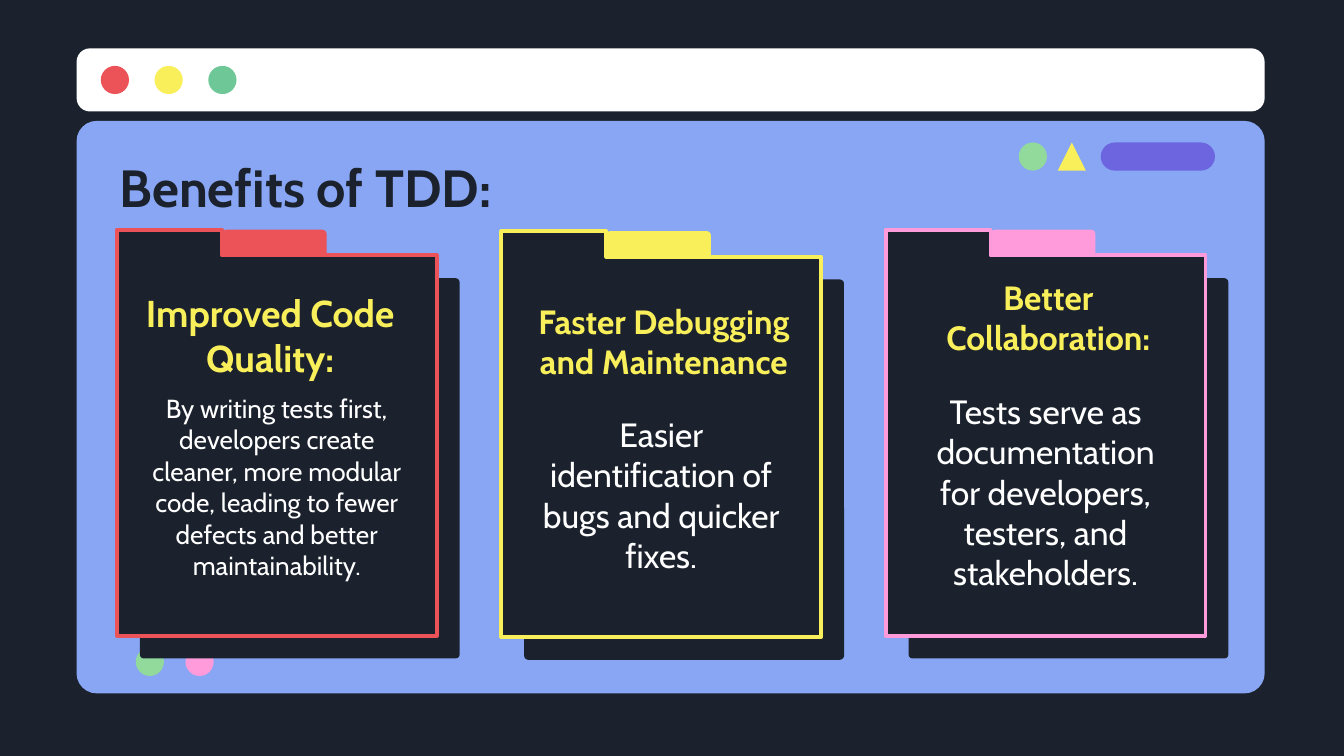
from dataclasses import dataclass

from pptx import Presentation
from pptx.dml.color import RGBColor
from pptx.enum.shapes import MSO_SHAPE
from pptx.enum.text import MSO_ANCHOR, MSO_AUTO_SIZE, PP_ALIGN
from pptx.util import Inches, Pt


@dataclass(frozen=True)
class Theme:
    font: str = "Cabin"
    ink: str = "1B222D"
    panel: str = "88A6F3"
    white: str = "FFFFFF"
    red: str = "EB5358"
    yellow: str = "F8EF5B"
    green: str = "6DC797"
    mint: str = "92D99C"
    pink: str = "FF9BDA"
    purple: str = "6D65E0"
    title_size: int = 28


@dataclass(frozen=True)
class Card:
    """Text tops are measured from the slide, heading_dx from the card's left edge."""
    heading: str
    body: str
    color: str
    heading_size: int
    body_size: int
    heading_dx: float
    heading_top: float
    body_top: float
    drop: float = 0


THEME = Theme()

# Card grid, in inches
CARD_LEFT, CARD_TOP, CARD_STEP = 0.87, 1.71, 2.86
CARD_W, CARD_H = 2.38, 3.02
TAB_W, TAB_DEPTH = 0.78, 0.19
TEXT_W, HEADING_H, BODY_H, BODY_DX = 2.14, 0.58, 1.73, 0.12
DOT = 0.21

CARDS = [
    Card("Improved Code Quality:",
         "By writing tests first, developers create cleaner, more modular code, "
         "leading to fewer defects and better maintainability.",
         THEME.red, 20, 14, 0.07, 2.2, 2.82),
    Card("Faster Debugging and Maintenance",
         "Easier identification of bugs and quicker fixes.",
         THEME.yellow, 18, 18, 0.14, 2.25, 2.98, drop=0.01),
    Card("Better Collaboration:",
         "Tests serve as documentation for developers, testers, and stakeholders.",
         THEME.pink, 18, 18, 0.14, 2.07, 2.81),
]


def rgb(color):
    return RGBColor.from_string(color)


def add_filled(slide, kind, left, top, width, height, color, radius=None):
    """Add a borderless preset shape; radius is the corner radius in inches."""
    sp = slide.shapes.add_shape(kind, Inches(left), Inches(top), Inches(width), Inches(height))
    if radius is not None:
        sp.adjustments[0] = radius / min(width, height)
    sp.shadow.inherit = False
    sp.fill.solid()
    sp.fill.fore_color.rgb = rgb(color)
    sp.line.fill.background()
    return sp


def add_dots(slide, left, top, step, colors):
    for i, color in enumerate(colors):
        add_filled(slide, MSO_SHAPE.OVAL, left + i * step, top, DOT, DOT, color)


def set_text(sp, text, size, color, bold=False, align=PP_ALIGN.CENTER, anchor=MSO_ANCHOR.TOP):
    tf = sp.text_frame
    tf.text = text
    tf.word_wrap = True
    tf.auto_size = MSO_AUTO_SIZE.NONE
    tf.vertical_anchor = anchor
    tf.margin_left = tf.margin_right = tf.margin_top = tf.margin_bottom = Inches(0.1)
    p = tf.paragraphs[0]
    p.alignment = align
    font = p.runs[0].font
    font.name, font.size, font.bold = THEME.font, Pt(size), bold
    font.color.rgb = rgb(color)


def add_text(slide, left, top, height, *args, **kwargs):
    sp = slide.shapes.add_textbox(Inches(left), Inches(top), Inches(TEXT_W), Inches(height))
    set_text(sp, *args, **kwargs)


def add_window(slide):
    rounded = MSO_SHAPE.ROUNDED_RECTANGLE
    add_filled(slide, rounded, 0.57, 0.9, 8.84, 4.26, THEME.panel, 0.15)
    add_filled(slide, rounded, 0.57, 0.36, 8.84, 0.47, THEME.white, 0.1)
    add_dots(slide, 0.75, 0.49, 0.4, [THEME.red, THEME.yellow, THEME.green])
    add_dots(slide, 7.58, 1.06, 0, [THEME.mint])
    add_filled(slide, MSO_SHAPE.ISOSCELES_TRIANGLE, 7.87, 1.06, DOT, DOT, THEME.yellow)
    add_filled(slide, rounded, 8.19, 1.06, 0.85, DOT, THEME.purple, DOT / 2)
    add_dots(slide, 1.01, 4.82, 0.37, [THEME.mint, THEME.pink])


def add_title(slide, text):
    sp = slide.shapes.title
    sp.left, sp.top, sp.width, sp.height = map(Inches, (0.79, 1.08, 8.43, 0.62))
    set_text(sp, text, THEME.title_size, THEME.ink, True, PP_ALIGN.LEFT, MSO_ANCHOR.MIDDLE)
    slide.shapes._spTree.append(sp._element)  # in front of the window


def add_folder(slide, left, top, color):
    """Draw the drop block, the coloured tab and the notched front sheet."""
    rounded = MSO_SHAPE.ROUNDED_RECTANGLE
    add_filled(slide, rounded, left + 0.17, top + 0.36, CARD_W, 2.83, THEME.ink, 0.03)
    add_filled(slide, rounded, left + TAB_W, top, TAB_W, 0.36, color, 0.03)

    right, bottom = left + CARD_W, top + CARD_H
    notch_x, notch_y = left + TAB_W, top + TAB_DEPTH
    corners = [(notch_x, top), (notch_x, notch_y), (right, notch_y),
               (right, bottom), (left, bottom)]
    builder = slide.shapes.build_freeform(Inches(left), Inches(top))
    builder.add_line_segments([(Inches(x), Inches(y)) for x, y in corners], close=True)
    sp = builder.convert_to_shape()
    sp.shadow.inherit = False
    sp.fill.solid()
    sp.fill.fore_color.rgb = rgb(THEME.ink)
    sp.line.color.rgb = rgb(color)
    sp.line.width = Pt(2)


def add_card(slide, column, card):
    left = CARD_LEFT + column * CARD_STEP
    add_folder(slide, left, CARD_TOP + card.drop, card.color)
    add_text(slide, left + card.heading_dx, card.heading_top, HEADING_H, card.heading,
             card.heading_size, THEME.yellow, bold=True, anchor=MSO_ANCHOR.MIDDLE)
    add_text(slide, left + BODY_DX, card.body_top, BODY_H, card.body,
             card.body_size, THEME.white)


def main():
    prs = Presentation()
    prs.slide_width = Inches(10)
    prs.slide_height = prs.slide_width * 9 // 16
    slide = prs.slides.add_slide(prs.slide_layouts.get_by_name("Title Only"))
    slide.background.fill.solid()
    slide.background.fill.fore_color.rgb = rgb(THEME.ink)
    add_window(slide)
    add_title(slide, "Benefits of TDD:")
    for column, card in enumerate(CARDS):
        add_card(slide, column, card)
    prs.save("out.pptx")


if __name__ == "__main__":
    main()
